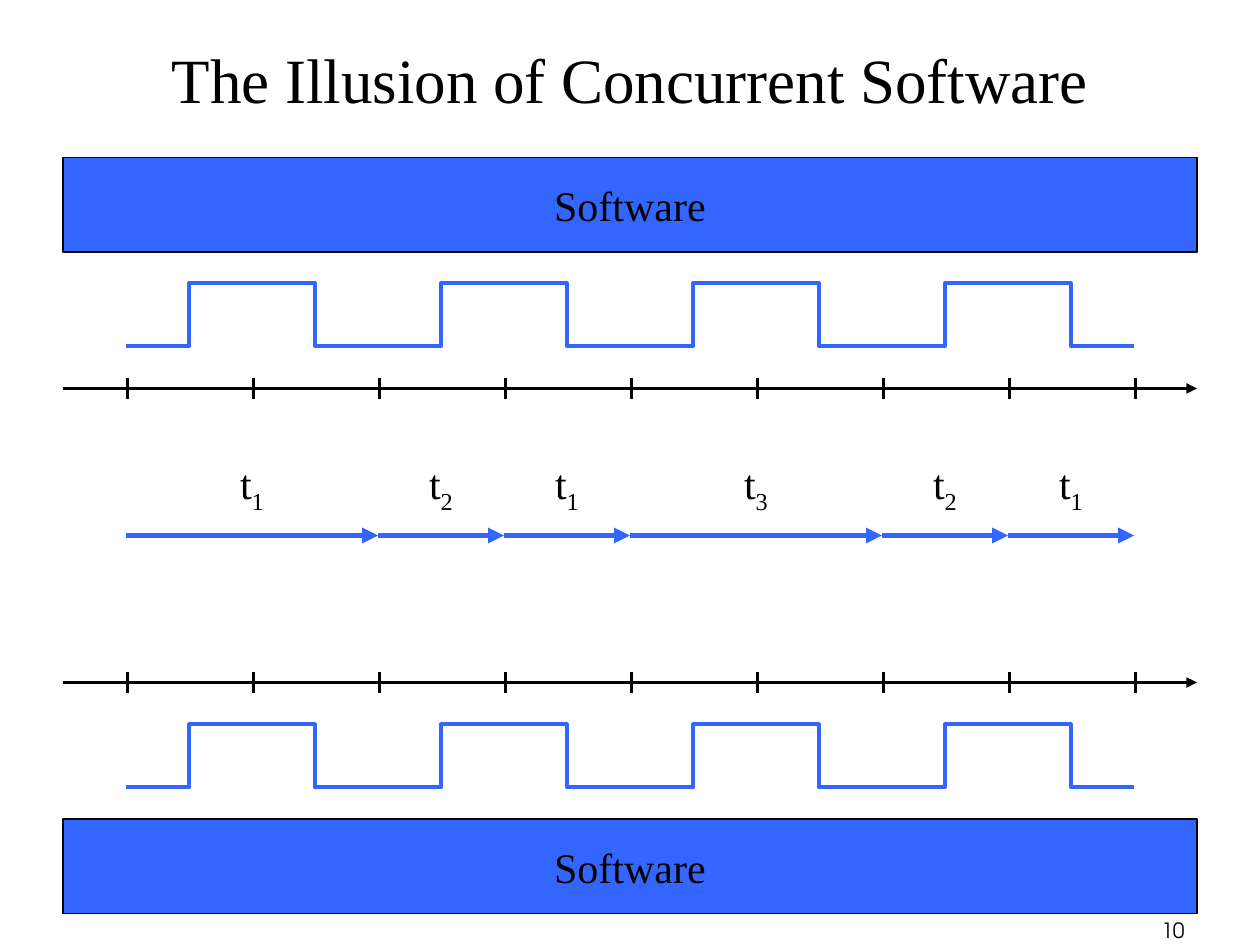
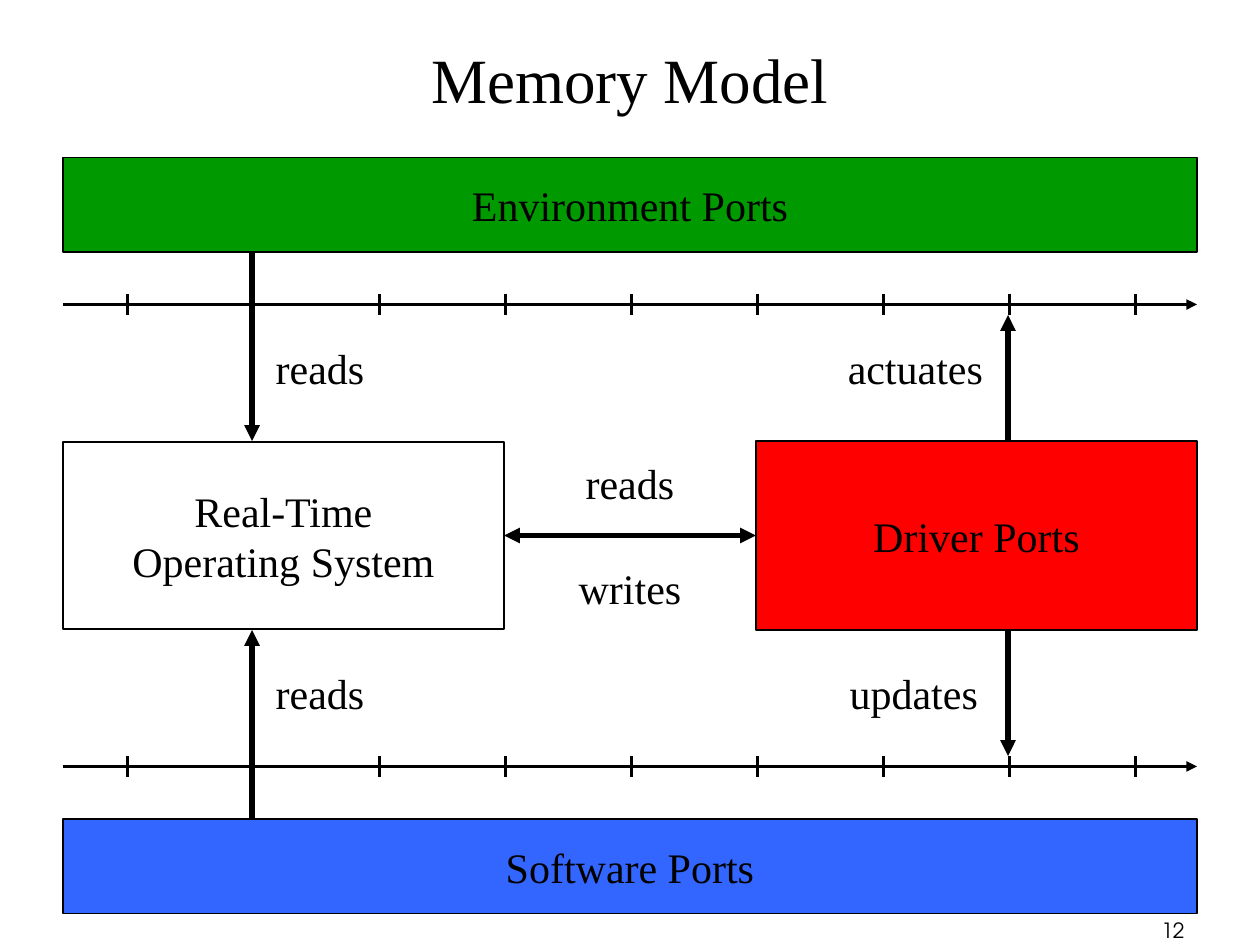
from dataclasses import dataclass

from lxml.etree import SubElement
from pptx import Presentation
from pptx.dml.color import RGBColor
from pptx.enum.shapes import MSO_CONNECTOR, MSO_SHAPE
from pptx.enum.text import MSO_ANCHOR, MSO_AUTO_SIZE, PP_ALIGN
from pptx.oxml.ns import qn
from pptx.util import Inches, Pt


@dataclass(frozen=True)
class Theme:
    ink: RGBColor = RGBColor(0, 0, 0)
    blue: RGBColor = RGBColor(0x33, 0x66, 0xFF)
    green: RGBColor = RGBColor(0, 0x99, 0)
    red: RGBColor = RGBColor(0xFF, 0, 0)
    font: str = "Times New Roman"
    number_font: str = "TeX Gyre Adventor"
    title_size: int = 36
    body_size: int = 24
    number_size: int = 12
    border: float = 0.75
    tick: float = 1.5
    axis: float = 2
    pulse: float = 2.25
    arrow: float = 3


THEME = Theme()
WIDTH, HEIGHT = Inches(10), Inches(7.5)
COLUMNS, ROWS = 10, 90
LEFT, RIGHT = 0.5, 9.5          # margins, in columns
FIRST, LAST = 1, 9              # first and last clock tick, in columns
TOP_BAND, BOTTOM_BAND, BAND_ROWS = 15, 78, 9
MIDDLE = 51                     # row of the central arrows


def col(n):
    return round(WIDTH * n / COLUMNS)


def row(n):
    return round(HEIGHT * n / ROWS)


def area(x, y, width, height):
    return col(x), row(y), col(width), row(height)


# Text
def add_run(p, text, size=THEME.body_size, font=THEME.font):
    r = p.add_run()
    r.text = text
    r.font.size = Pt(size)
    r.font.name = font
    r.font.color.rgb = THEME.ink
    return r


def add_label(s, text, x, y, width, align=PP_ALIGN.CENTER, subscript=None):
    """x is the edge or the centre that the alignment refers to."""
    share = {PP_ALIGN.LEFT: 0, PP_ALIGN.CENTER: 0.5, PP_ALIGN.RIGHT: 1}[align]
    height = 6.75 if subscript else 6
    tf = s.shapes.add_textbox(*area(x - share * width, y, width, height)).text_frame
    tf.word_wrap = False
    tf.auto_size = MSO_AUTO_SIZE.SHAPE_TO_FIT_TEXT
    p = tf.paragraphs[0]
    p.alignment = align
    add_run(p, text)
    if subscript:
        r = add_run(p, subscript)
        r.font._element.set("baseline", "-25000")


# Boxes and lines
def add_box(s, lines, x, y, width, height, fill=None):
    sp = s.shapes.add_shape(MSO_SHAPE.RECTANGLE, *area(x, y, width, height))
    sp.shadow.inherit = False
    if fill is None:
        sp.fill.background()
    else:
        sp.fill.solid()
        sp.fill.fore_color.rgb = fill
    sp.line.color.rgb = THEME.ink
    sp.line.width = Pt(THEME.border)
    tf = sp.text_frame
    tf.word_wrap = False
    tf.vertical_anchor = MSO_ANCHOR.MIDDLE
    for i, line in enumerate(lines):
        p = tf.add_paragraph() if i else tf.paragraphs[0]
        p.alignment = PP_ALIGN.CENTER
        add_run(p, line)


def add_band(s, text, y, fill):
    add_box(s, [text], LEFT, y, RIGHT - LEFT, BAND_ROWS, fill)


def add_line(shapes, start, end, width, color=THEME.ink, ends=()):
    line = shapes.add_connector(MSO_CONNECTOR.STRAIGHT, col(start[0]), row(start[1]),
                                col(end[0]), row(end[1]))
    line.line.color.rgb = color
    line.line.width = Pt(width)
    for end_name in ends:
        SubElement(line.line._get_or_add_ln(), qn(f"a:{end_name}"), type="triangle")
    SubElement(line._element.spPr, qn("a:effectLst"))


def add_arrow(s, start, end, color=THEME.ink, both=False):
    ends = ("headEnd", "tailEnd") if both else ("tailEnd",)
    add_line(s.shapes, start, end, THEME.arrow, color, ends)


def add_timeline(s, y):
    group = s.shapes.add_group_shape()
    add_line(group.shapes, (LEFT, y), (RIGHT, y), THEME.axis, ends=("tailEnd",))
    for tick in range(FIRST, LAST + 1):
        x = tick + 0.01
        add_line(group.shapes, (x, y - 1), (x, y + 1), THEME.tick)


def add_pulses(s, high, low):
    points, level = [], low
    for tick in range(FIRST, LAST):
        edge = tick + 0.5
        other = high if level == low else low
        points += [(edge, level), (edge, other)]
        level = other
    points.append((LAST, level))
    builder = s.shapes.build_freeform(col(FIRST), row(low))
    builder.add_line_segments([(col(x), row(y)) for x, y in points], close=False)
    sp = builder.convert_to_shape()
    sp.shadow.inherit = False
    sp.fill.background()
    sp.line.color.rgb = THEME.blue
    sp.line.width = Pt(THEME.pulse)


# Slide frame: title and slide number
def add_slide(prs, title, number, title_left=LEFT):
    s = prs.slides.add_slide(prs.slide_layouts[5])
    sp = s.shapes.title
    sp.left, sp.top, sp.width, sp.height = area(title_left, 0, COLUMNS - 2 * title_left, 15)
    tf = sp.text_frame
    tf.auto_size = MSO_AUTO_SIZE.NONE
    tf.vertical_anchor = MSO_ANCHOR.MIDDLE
    p = tf.paragraphs[0]
    p.alignment = PP_ALIGN.CENTER
    add_run(p, title, THEME.title_size)

    tf = s.shapes.add_textbox(*area(7.42, 86.8, 2.08, 3)).text_frame
    tf.word_wrap = True
    p = tf.paragraphs[0]
    p.alignment = PP_ALIGN.RIGHT
    add_run(p, str(number), THEME.number_size, THEME.number_font)
    return s


def build_illusion(prs):
    s = add_slide(prs, "The Illusion of Concurrent Software", 10)
    for y in (TOP_BAND, BOTTOM_BAND):
        add_band(s, "Software", y, THEME.blue)
    for y in (37, 65):
        add_timeline(s, y)
    for high in (27, 69):
        add_pulses(s, high, high + 6)

    # Tasks taking turns: task number and duration in ticks
    start = FIRST
    for task, ticks in (("1", 2), ("2", 1), ("1", 1), ("3", 2), ("2", 1), ("1", 1)):
        end = start + ticks
        add_arrow(s, (start, MIDDLE), (end, MIDDLE), THEME.blue)
        add_label(s, "t", (start + end) / 2, 43, 0.41, subscript=task)
        start = end


def build_memory_model(prs):
    s = add_slide(prs, "Memory Model", 12, title_left=0.75)
    for y in (29, 73):
        add_timeline(s, y)
    add_band(s, "Environment Ports", TOP_BAND, THEME.green)
    add_band(s, "Software Ports", BOTTOM_BAND, THEME.blue)

    # System and driver, with the exchange between them
    add_box(s, ["Real-Time", "Operating System"], LEFT, 42.1, 3.5, 17.8)
    add_box(s, ["Driver Ports"], 6, 42, 3.5, 18, THEME.red)
    add_arrow(s, (4, MIDDLE), (6, MIDDLE), both=True)
    add_label(s, "reads", 5, 43, 0.94)
    add_label(s, "writes", 5, 53, 1.06)

    # Reads into the system, outputs from the driver
    for start, end, y in ((24, 42, 32), (78, 60, 63)):
        add_arrow(s, (2, start), (2, end))
        add_label(s, "reads", 2.09, y, 0.94, PP_ALIGN.LEFT)
    for text, start, end, y, right, width in (("actuates", 42, 30, 32, 7.9, 1.31),
                                              ("updates", 60, 72, 63, 7.86, 1.26)):
        add_arrow(s, (8, start), (8, end))
        add_label(s, text, right, y, width, PP_ALIGN.RIGHT)


def main():
    prs = Presentation()
    prs.slide_width, prs.slide_height = WIDTH, HEIGHT
    build_illusion(prs)
    build_memory_model(prs)
    prs.save("out.pptx")


if __name__ == "__main__":
    main()
